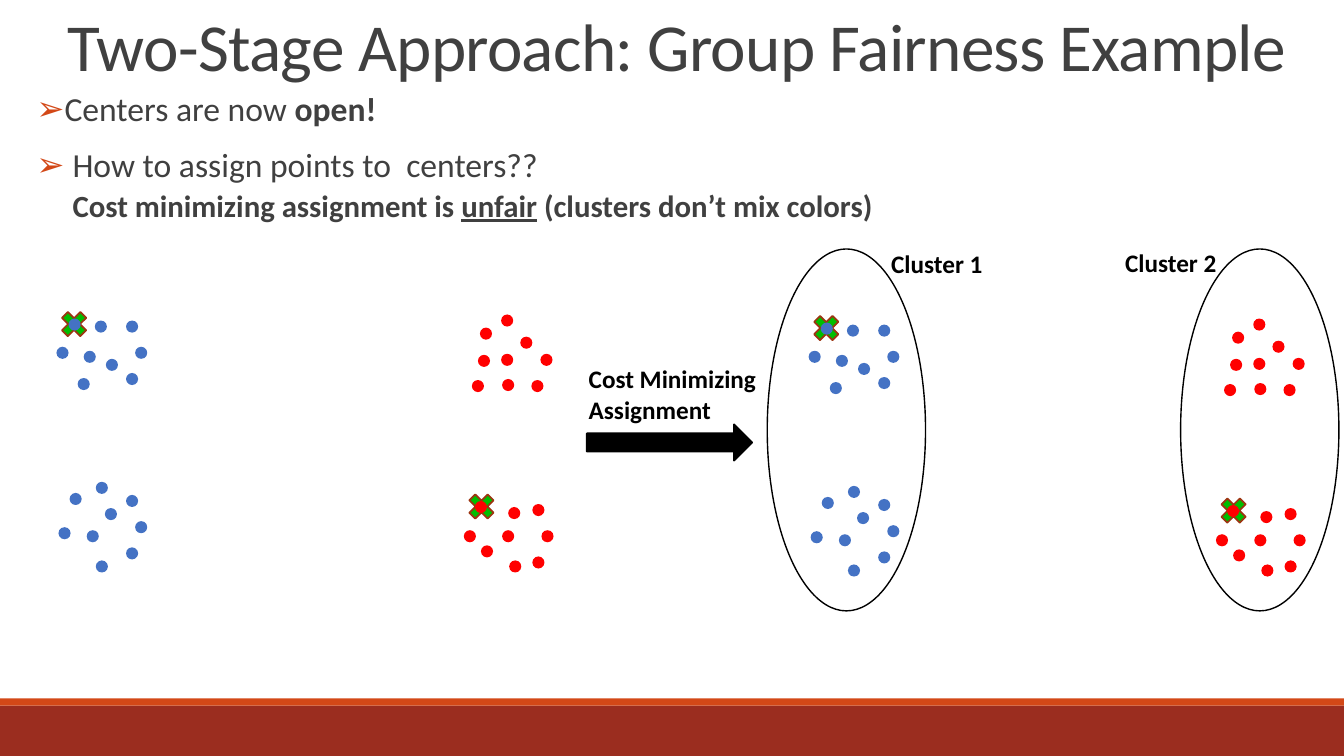
from lxml import etree
from pptx import Presentation
from pptx.dml.color import RGBColor
from pptx.enum.shapes import MSO_SHAPE
from pptx.enum.text import MSO_ANCHOR, MSO_AUTO_SIZE, PP_ALIGN
from pptx.oxml.ns import qn
from pptx.util import Inches, Pt

RECT, OVAL = MSO_SHAPE.RECTANGLE, MSO_SHAPE.OVAL
CROSS, ARROW = MSO_SHAPE.MATH_MULTIPLY, MSO_SHAPE.RIGHT_ARROW
BOTTOM, TOP = MSO_ANCHOR.BOTTOM, MSO_ANCHOR.TOP
NO_FIT, LEFT = MSO_AUTO_SIZE.NONE, PP_ALIGN.LEFT

BRICK = RGBColor(0x9B, 0x2D, 0x1F)
ORANGE = RGBColor(0xD3, 0x48, 0x17)
GRAY = RGBColor(0x40, 0x40, 0x40)
BLACK = RGBColor(0, 0, 0)
RED = RGBColor(0xFF, 0, 0)
BLUE = RGBColor(0x44, 0x72, 0xC4)
GREEN = RGBColor(0, 0xBE, 0)
RUST = RGBColor(0x9C, 0x35, 0x11)

WIDTH, HEIGHT = 13.33, 7.5
DOT, CENTER = 0.12, 0.35


def write(paragraph, text, size=18, color=BLACK, bold=False, underline=False):
    run = paragraph.add_run()
    run.text = text
    run.font.name = "Calibri"
    run.font.size = Pt(size)
    run.font.color.rgb = color
    run.font.bold = bold
    run.font.underline = underline
    return run


def draw(shapes, kind, box, fill=None, line=None, weight=1.25):
    shape = shapes.add_shape(kind, *map(Inches, box))
    shape.shadow.inherit = False
    if fill is None:
        shape.fill.background()
    else:
        shape.fill.solid()
        shape.fill.fore_color.rgb = fill
    if line is None:
        shape.line.fill.background()
    else:
        shape.line.color.rgb = line
        shape.line.width = Pt(weight)


deck = Presentation()
deck.slide_width, deck.slide_height = Inches(WIDTH), Inches(HEIGHT)
slide = deck.slides.add_slide(deck.slide_layouts[1])

# Footer bands
draw(slide.shapes, RECT, (0, 7, WIDTH, 0.5), BRICK)
draw(slide.shapes, RECT, (0, 6.93, WIDTH, 0.07), ORANGE)

# Title and body placeholders
title, body = slide.shapes.title, slide.placeholders[1]
for holder, box, anchor in ((title, (0.57, -0.69, 13.24, 1.59), BOTTOM),
                            (body, (0.26, 0.87, 11.61, 4.83), TOP)):
    holder.left, holder.top, holder.width, holder.height = map(Inches, box)
    holder.text_frame.auto_size = NO_FIT
    holder.text_frame.vertical_anchor = anchor

heading = title.text_frame.paragraphs[0]
heading.alignment = LEFT
heading.line_spacing = 0.85
heading_run = write(heading, "Two-Stage Approach: Group Fairness Example", 48, GRAY)
heading_run.font._element.set("spc", "-50")

# Body lines: level, text start, bullet, space before and after, size, runs
body_lines = [
    (0, 0.28, "➢", 0, 2, 24, [("Centers are now ", {}), ("open!", {"bold": True})]),
    (0, 0.36, "➢", 12, 2, 24, [("How to assign points to  centers??", {})]),
    (1, 0.36, None, 2, 4, 22, [
        ("Cost minimizing assignment is ", {"bold": True}),
        ("unfair", {"bold": True, "underline": True}),
        (" (clusters don’t mix colors)", {"bold": True})]),
]
for row, (level, start, bullet, before, after, size, runs) in enumerate(body_lines):
    frame = body.text_frame
    line = frame.add_paragraph() if row else frame.paragraphs[0]
    line.level = level
    props = line._p.get_or_add_pPr()
    props.set("marL", str(Inches(start)))
    props.set("indent", str(-Inches(start) if bullet else 0))
    if bullet:
        tint = etree.SubElement(props, qn("a:buClr"))
        etree.SubElement(tint, qn("a:srgbClr")).set("val", str(ORANGE))
        etree.SubElement(props, qn("a:buChar")).set("char", bullet)
    else:
        etree.SubElement(props, qn("a:buNone"))
    line.line_spacing = 0.9
    line.space_before, line.space_after = Pt(before), Pt(after)
    for text, style in runs:
        write(line, text, size, GRAY, **style)

# Points, before and after the assignment
centers = [(4.6, 4.85), (0.56, 3.04)]
points = {
    RED: [
        (4.68, 3.77), (4.98, 3.76), (4.76, 3.25), (4.74, 3.52), (5.27, 3.77),
        (5.36, 3.51), (5.16, 3.34), (4.97, 3.12), (4.97, 3.51),
        (4.77, 5.41), (5.05, 5.56), (4.71, 4.97), (4.6, 5.26), (5.28, 5.52),
        (5.37, 5.26), (5.28, 5), (5.04, 5.03), (4.98, 5.26)],
    BLUE: [
        (0.77, 3.75), (1.05, 3.56), (0.68, 3.16), (0.56, 3.44), (1.25, 3.7),
        (1.34, 3.44), (1.25, 3.18), (0.94, 3.18), (0.83, 3.48),
        (0.58, 5.23), (0.95, 5.56), (0.69, 4.89), (0.86, 5.26), (1.25, 5.43),
        (1.34, 5.17), (1.25, 4.91), (0.95, 4.78), (1.04, 5.04)],
}
for shift_x, shift_y in ((0, 0), (7.46, 0.04)):
    cloud = slide.shapes.add_group_shape().shapes
    for x, y in centers:
        draw(cloud, CROSS, (x + shift_x, y + shift_y, CENTER, CENTER), GREEN, RUST)
    for color, spots in points.items():
        for x, y in spots:
            draw(cloud, OVAL, (x + shift_x, y + shift_y, DOT, DOT), color)

# Assignment arrow and cluster outlines
draw(slide.shapes, ARROW, (5.82, 4.21, 1.64, 0.36), BLACK, BLACK)
for x in (7.61, 11.71):
    draw(slide.shapes, OVAL, (x, 2.47, 1.57, 3.59), line=BLACK, weight=1)

# Labels
for x, y, height, rows in ((5.74, 3.56, 0.71, ["Cost Minimizing", "Assignment"]),
                           (8.74, 2.41, 0.4, ["Cluster 1"]),
                           (11.06, 2.4, 0.4, ["Cluster 2"])):
    label = slide.shapes.add_textbox(*map(Inches, (x, y, 3.68, height))).text_frame
    label.word_wrap = True
    for row, text in enumerate(rows):
        line = label.add_paragraph() if row else label.paragraphs[0]
        write(line, text, bold=True)

deck.save("out.pptx")
